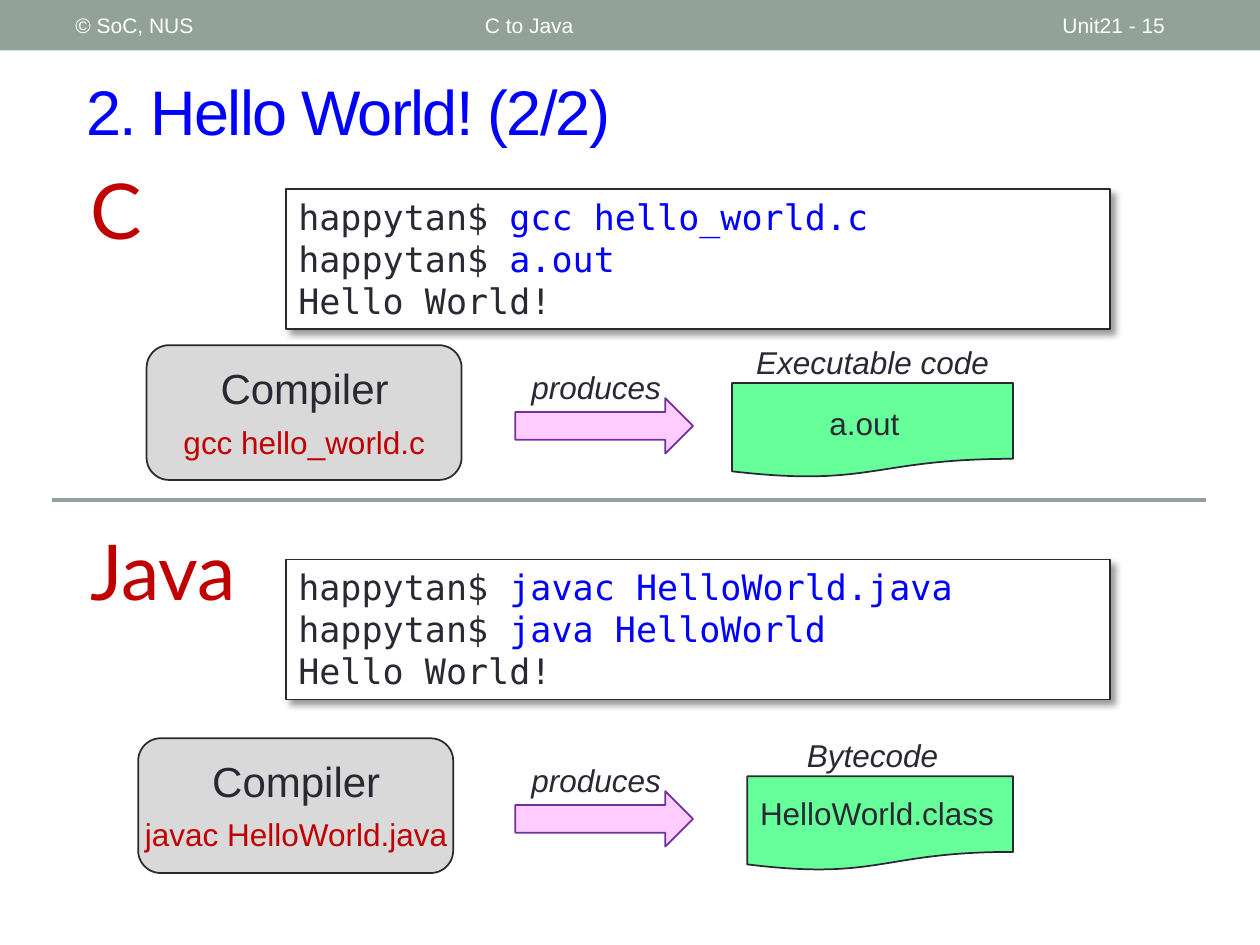
from lxml.etree import SubElement
from pptx import Presentation
from pptx.dml.color import RGBColor
from pptx.enum.shapes import MSO_CONNECTOR, MSO_SHAPE
from pptx.enum.text import MSO_ANCHOR, PP_ALIGN
from pptx.oxml import parse_xml
from pptx.oxml.ns import qn
from pptx.util import Pt

SAGE = RGBColor(0x93, 0xA2, 0x99)
WHITE = RGBColor(0xFF, 0xFF, 0xFF)
INK = RGBColor(0x29, 0x29, 0x34)
BLUE = RGBColor(0x00, 0x00, 0xFF)
RED = RGBColor(0xC0, 0x00, 0x00)
PINK = RGBColor(0xFF, 0xCC, 0xFF)
PURPLE = RGBColor(0x70, 0x30, 0xA0)
GREEN = RGBColor(0x66, 0xFF, 0x99)
GREY = RGBColor(0xD9, 0xD9, 0xD9)

HEADER = {"name": "Arial", "size": Pt(12)}
TITLE = {"name": "Arial", "size": Pt(36)}
LANGUAGE = {"name": "Lato", "size": Pt(44)}
CODE = {"name": "DejaVu Sans Mono", "size": Pt(20)}
HEADING = {"name": "Arial", "size": Pt(24)}
LABEL = {"name": "Arial", "size": Pt(18)}
CAPTION = {**LABEL, "italic": True}

SHADOW = (
    '<a:effectLst xmlns:a="http://schemas.openxmlformats.org/drawingml/2006/main">'
    '<a:outerShdw blurRad="50800" dist="38100" dir="2700000" algn="tl" rotWithShape="0">'
    '<a:srgbClr val="000000"><a:alpha val="40000"/></a:srgbClr>'
    "</a:outerShdw></a:effectLst>"
)


class SlideBuilder:
    def __init__(self, slide):
        self.slide = slide

    def styled_run(self, paragraph, content, style, color, align=PP_ALIGN.LEFT):
        paragraph.alignment = align
        run = paragraph.add_run()
        run.text = content
        for attribute, value in style.items():
            setattr(run.font, attribute, value)
        run.font.color.rgb = color
        return run

    def title(self, content, box):
        heading = self.slide.shapes.title
        heading.left, heading.top, heading.width, heading.height = map(Pt, box)
        frame = heading.text_frame
        frame.vertical_anchor = MSO_ANCHOR.MIDDLE
        run = self.styled_run(frame.paragraphs[0], content, TITLE, BLUE)
        run.font._element.set("spc", "-100")

    def text(self, content, box, style, color, align=PP_ALIGN.CENTER, anchor=MSO_ANCHOR.TOP):
        frame = self.slide.shapes.add_textbox(*map(Pt, box)).text_frame
        frame.word_wrap = True
        frame.vertical_anchor = anchor
        self.styled_run(frame.paragraphs[0], content, style, color, align)

    def shape(self, kind, box, fill, outline=None, weight=1):
        figure = self.slide.shapes.add_shape(kind, *map(Pt, box))
        figure.shadow.inherit = False
        figure.fill.solid()
        figure.fill.fore_color.rgb = fill
        if outline is None:
            figure.line.fill.background()
        else:
            figure.line.color.rgb = outline
            figure.line.width = Pt(weight)
        return figure

    def terminal(self, commands, box):
        window = self.shape(MSO_SHAPE.RECTANGLE, box, WHITE, INK, 0.75)
        properties = window._element.spPr
        properties.replace(properties.find(qn("a:effectLst")), parse_xml(SHADOW))
        frame = window.text_frame
        frame.word_wrap = True
        frame.vertical_anchor = MSO_ANCHOR.TOP
        paragraph = frame.paragraphs[0]
        for command in commands:
            self.styled_run(paragraph, "happytan$ ", CODE, INK)
            self.styled_run(paragraph, command, CODE, BLUE)
            paragraph = frame.add_paragraph()
        self.styled_run(paragraph, "Hello World!", CODE, INK)

    def divider(self, left, right, y):
        rule = self.slide.shapes.add_connector(
            MSO_CONNECTOR.STRAIGHT, Pt(left), Pt(y), Pt(right), Pt(y))
        rule.line.color.rgb = SAGE
        rule.line.width = Pt(2.25)
        SubElement(rule._element.spPr, qn("a:effectLst"))

    def compilation(self, top, compiler_left, command, command_box, caption,
                    product, product_left, product_box):
        self.shape(MSO_SHAPE.RIGHT_ARROW, (294.5, top + 30.2, 101.5, 31.7), PINK, PURPLE)
        self.text("produces", (294.5, top + 9.4, 92.2, 28.8), CAPTION, INK)
        self.shape(MSO_SHAPE.FLOWCHART_DOCUMENT,
                   (product_left, top + 21.6, 578.9 - product_left, 54), GREEN, INK)
        self.text(caption, (418.3, top - 5, 160.6, 28.8), CAPTION, INK)
        self.text(product, product_box, LABEL, INK)
        self.shape(MSO_SHAPE.ROUNDED_RECTANGLE, (compiler_left, top, 180, 77), GREY, INK)
        self.text("Compiler", (compiler_left + 27.6, top + 6.5, 125.3, 36), HEADING, INK)
        self.text(command, command_box, LABEL, RED)


def main():
    presentation = Presentation()
    presentation.slide_width, presentation.slide_height = Pt(720), Pt(540)
    builder = SlideBuilder(presentation.slides.add_slide(presentation.slide_layouts[5]))

    builder.shape(MSO_SHAPE.RECTANGLE, (0, 0, 720, 28.8), SAGE)
    for content, left, width in (("© SoC, NUS", 36, 228), ("C to Java", 270, 324),
                                 ("Unit21 - 15", 600, 84)):
        builder.text(content, (left, 1.4, width, 26), HEADER, WHITE,
                     PP_ALIGN.LEFT, MSO_ANCHOR.MIDDLE)
    builder.title("2. Hello World! (2/2)", (42, 30, 660, 66))

    for language, top, width, terminal_top, commands in (
        ("C", 89.3, 73.4, 108, ("gcc hello_world.c", "a.out")),
        ("Java", 295.9, 118.8, 319.7, ("javac HelloWorld.java", "java HelloWorld")),
    ):
        builder.terminal(commands, (163.4, terminal_top, 470.9, 80))
        builder.text(language, (44.6, top, width, 60.5), LANGUAGE, RED, PP_ALIGN.LEFT)
    builder.divider(30, 689, 285.8)

    builder.compilation(197.3, 83.8, "gcc hello_world.c", (81.4, 238.3, 185, 28.8),
                        "Executable code", "a.out ", 418.3, (443.5, 227.5, 105.8, 28.8))
    builder.compilation(421.9, 79, "javac HelloWorld.java", (72, 462.2, 194.4, 28.8),
                        "Bytecode", "HelloWorld.class", 427, (423.4, 450, 155.5, 28.8))
    presentation.save("out.pptx")


if __name__ == "__main__":
    main()
